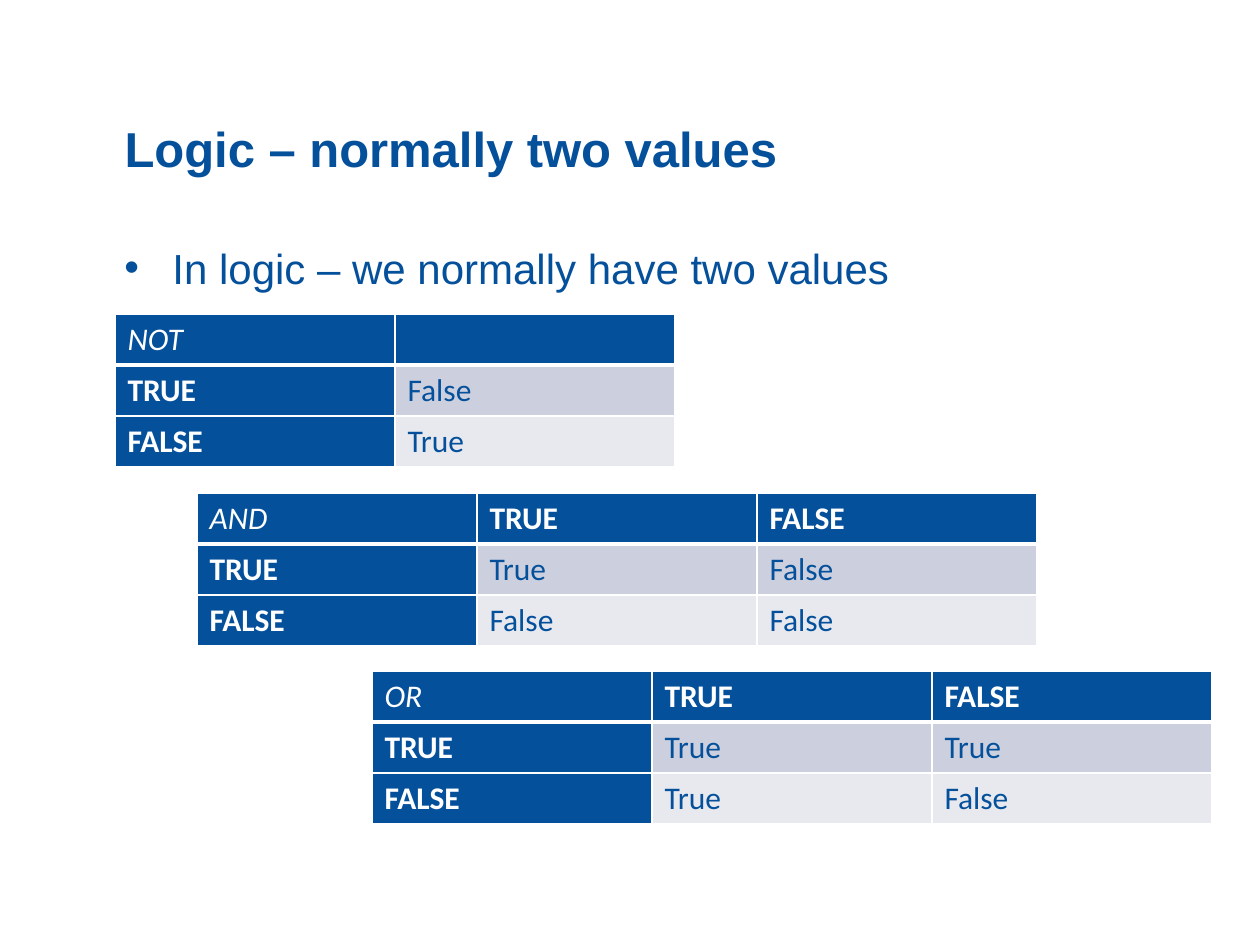
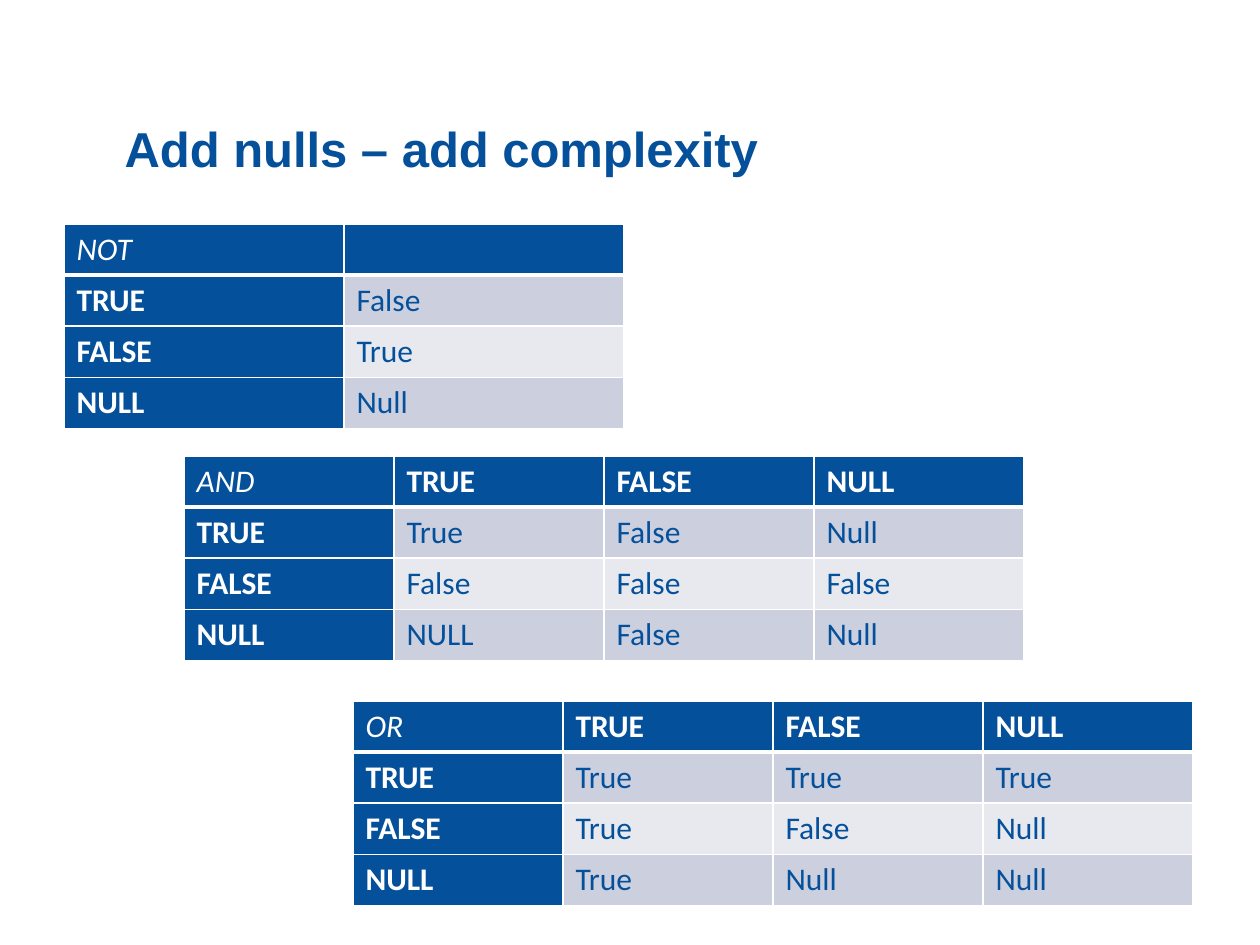
import dataclasses

import lxml.etree
import pptx
import pptx.dml.color
import pptx.enum.text
import pptx.oxml.ns
import pptx.util

SLIDES = [
    {
        "title": "Logic – normally two values",
        "bullet": "In logic – we normally have two values",
        "tables": [
            ((115, 314), [["NOT", ""], ["TRUE", "False"], ["FALSE", "True"]]),
            ((197, 493), [["AND", "TRUE", "FALSE"],
                          ["TRUE", "True", "False"],
                          ["FALSE", "False", "False"]]),
            ((372, 671), [["OR", "TRUE", "FALSE"],
                          ["TRUE", "True", "True"],
                          ["FALSE", "True", "False"]]),
        ],
    },
    {
        "title": "Add nulls – add complexity",
        "bullet": None,
        "tables": [
            ((64, 224), [["NOT", ""], ["TRUE", "False"],
                         ["FALSE", "True"], ["NULL", "Null"]]),
            ((184, 456), [["AND", "TRUE", "FALSE", "NULL"],
                          ["TRUE", "True", "False", "Null"],
                          ["FALSE", "False", "False", "False"],
                          ["NULL", "NULL", "False", "Null"]]),
            ((353, 701), [["OR", "TRUE", "FALSE", "NULL"],
                          ["TRUE", "True", "True", "True"],
                          ["FALSE", "True", "False", "Null"],
                          ["NULL", "True", "Null", "Null"]]),
        ],
    },
]


@dataclasses.dataclass(frozen=True)
class Theme:
    blue: str = "05509B"
    white: str = "FFFFFF"
    bands: tuple = ("CCD0DE", "E7E9EF")
    text_font: str = "Arial"
    table_font: str = "Calibri"
    title_size: int = 28
    bullet_size: int = 24
    table_size: int = 18
    thin: int = 1
    thick: int = 3


THEME = Theme()
PX_PER_INCH = 126
SLIDE_SIZE = (1260, 945)
TITLE_BOX = (112, 28, 769, 156)
BULLET_BOX = (112, 236, 1027, 564)
BULLET_INDENT = 48
ROW_HEIGHT = 51
TABLE_WIDTH = 840
WIDEST_COLUMN = 280


def px(length):
    return pptx.util.Inches(length / PX_PER_INCH)


def rgb(colour):
    return pptx.dml.color.RGBColor.from_string(colour)


def style(para, font, size, colour, bold=False, italic=False):
    para.font.name = font
    para.font.size = pptx.util.Pt(size)
    para.font.color.rgb = rgb(colour)
    para.font.bold = bold
    para.font.italic = italic


def add_element(parent, tag, **attributes):
    element = lxml.etree.SubElement(parent, pptx.oxml.ns.qn(tag))
    for name, value in attributes.items():
        element.set(name, str(value))
    return element


def set_title(page, text):
    title = page.shapes.title
    title.left, title.top, title.width, title.height = map(px, TITLE_BOX)
    frame = title.text_frame
    frame.text = text
    frame.auto_size = pptx.enum.text.MSO_AUTO_SIZE.NONE
    frame.vertical_anchor = pptx.enum.text.MSO_ANCHOR.BOTTOM
    para = frame.paragraphs[0]
    para.alignment = pptx.enum.text.PP_ALIGN.LEFT
    style(para, THEME.text_font, THEME.title_size, THEME.blue, bold=True)


def add_bullet(page, text):
    box = page.shapes.add_textbox(*map(px, BULLET_BOX))
    box.text_frame.word_wrap = True
    para = box.text_frame.paragraphs[0]
    para.text = text
    para.space_after = pptx.util.Pt(15)
    properties = para._p.get_or_add_pPr()
    properties.set("marL", str(px(BULLET_INDENT)))
    properties.set("indent", str(-px(BULLET_INDENT)))
    add_element(properties, "a:buFont", typeface=THEME.text_font)
    add_element(properties, "a:buChar", char="•")
    style(para, THEME.text_font, THEME.bullet_size, THEME.blue)


def set_borders(cell, row):
    """Draw white borders, with a thick rule under the header row."""
    widths = {"L": THEME.thin, "R": THEME.thin,
              "T": THEME.thick if row == 1 else THEME.thin,
              "B": THEME.thick if row == 0 else THEME.thin}
    properties = cell._tc.get_or_add_tcPr()
    for side, width in widths.items():
        line = add_element(properties, f"a:ln{side}", w=pptx.util.Pt(width))
        fill = add_element(line, "a:solidFill")
        add_element(fill, "a:srgbClr", val=THEME.white)


def fill_cell(cell, text, row, column):
    is_header = row == 0 or column == 0
    is_operator = row == 0 and column == 0
    set_borders(cell, row)
    cell.fill.solid()
    cell.fill.fore_color.rgb = rgb(
        THEME.blue if is_header else THEME.bands[(row - 1) % 2])
    cell.text = text
    style(cell.text_frame.paragraphs[0], THEME.table_font, THEME.table_size,
          THEME.white if is_header else THEME.blue,
          bold=is_header and not is_operator, italic=is_operator)


def add_truth_table(page, position, rows):
    columns = len(rows[0])
    column_width = min(WIDEST_COLUMN, TABLE_WIDTH // columns)
    size = (column_width * columns, ROW_HEIGHT * len(rows))
    table = page.shapes.add_table(
        len(rows), columns, *map(px, position + size)).table
    table.first_row = table.horz_banding = False
    for row, texts in enumerate(rows):
        for column, text in enumerate(texts):
            fill_cell(table.cell(row, column), text, row, column)


def main():
    deck = pptx.Presentation()
    deck.slide_width, deck.slide_height = map(px, SLIDE_SIZE)
    title_only = deck.slide_layouts[5]
    for content in SLIDES:
        page = deck.slides.add_slide(title_only)
        set_title(page, content["title"])
        if content["bullet"]:
            add_bullet(page, content["bullet"])
        for position, rows in content["tables"]:
            add_truth_table(page, position, rows)
    deck.save("out.pptx")


if __name__ == "__main__":
    main()
